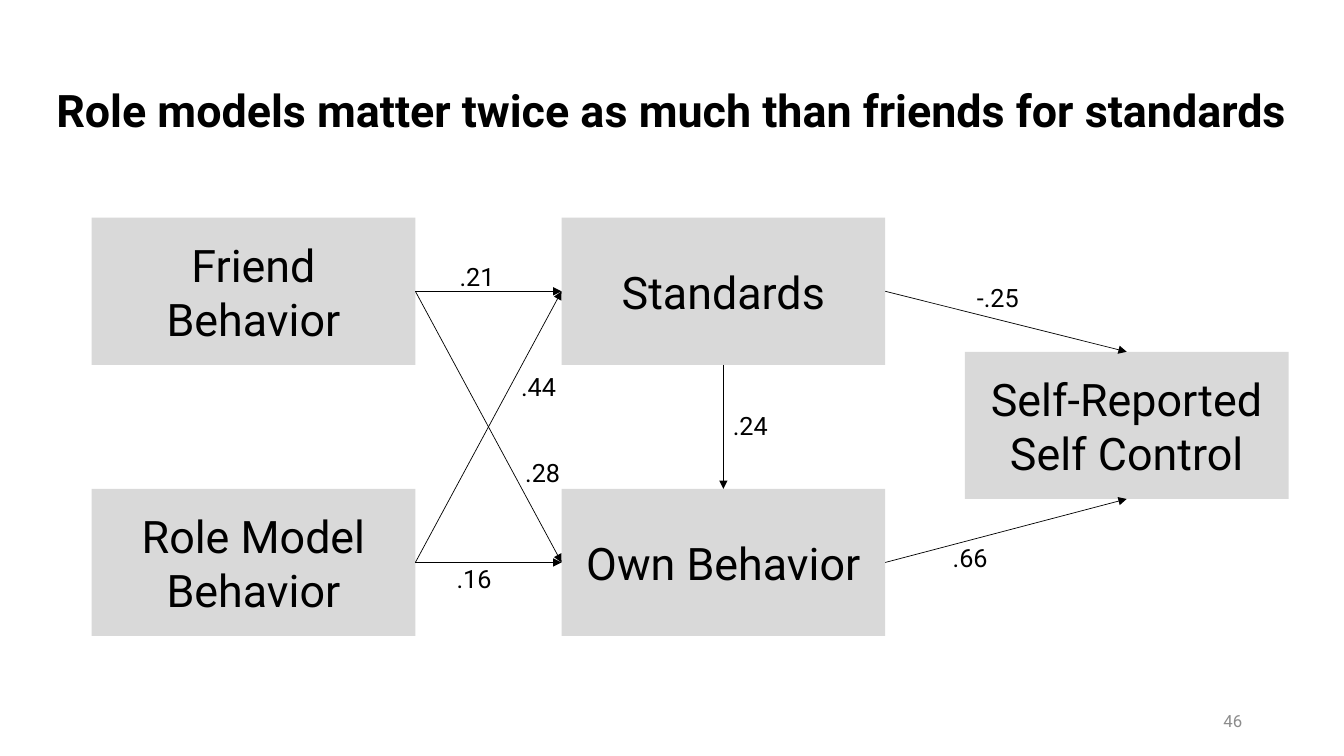
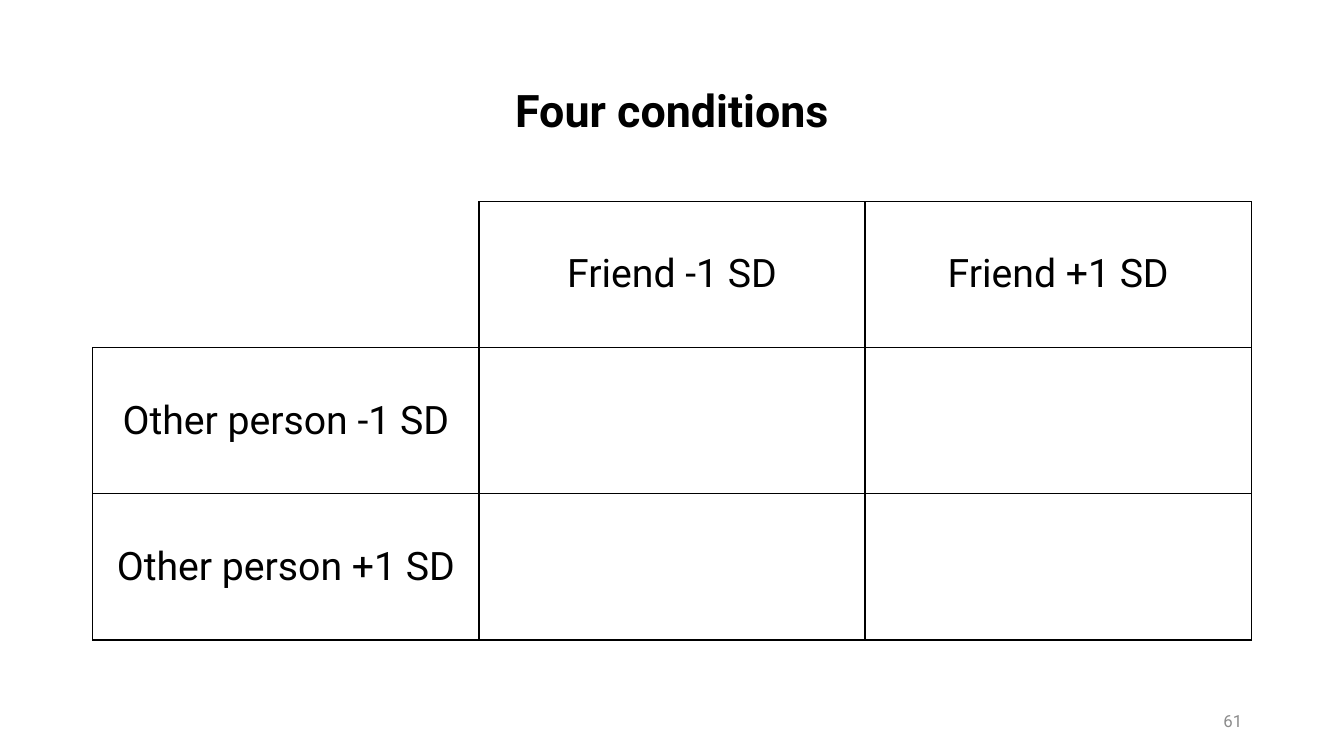
from lxml import etree
from pptx import Presentation
from pptx.dml.color import RGBColor
from pptx.enum.shapes import MSO_CONNECTOR, MSO_SHAPE
from pptx.enum.text import MSO_ANCHOR, MSO_AUTO_SIZE, PP_ALIGN
from pptx.oxml.ns import qn
from pptx.util import Inches, Pt

LEFT, MID, RIGHT = PP_ALIGN.LEFT, PP_ALIGN.CENTER, PP_ALIGN.RIGHT
MIDDLE, TOP = MSO_ANCHOR.MIDDLE, MSO_ANCHOR.TOP
GROW, FIXED = MSO_AUTO_SIZE.SHAPE_TO_FIT_TEXT, MSO_AUTO_SIZE.NONE
LINE, RECT = MSO_CONNECTOR.STRAIGHT, MSO_SHAPE.RECTANGLE
NORTH, WEST, SOUTH, EAST = range(4)  # connection sites of a rectangle

WIDE, HIGH = 13.33, 7.5
EDGE = 0.92
FONT = "Roboto"
HUES = {"ink": "000000", "box": "D9D9D9", "page": "8C8C8C"}

# Path model: name -> (left, top, lines)
COLS = (0.91, 5.57, 9.57)
ROWS = (2.16, 3.49, 4.85)
BOX = (3.21, 1.46)
NODES = {
    "friend": (COLS[0], ROWS[0], ["Friend Behavior"]),
    "model": (COLS[0], ROWS[2], ["Role Model Behavior"]),
    "norm": (COLS[1], ROWS[0], ["Standards"]),
    "own": (COLS[1], ROWS[2], ["Own Behavior"]),
    "self": (COLS[2], ROWS[1], ["Self-Reported", "Self Control"]),
}
# start, site, end, site, weight, label left and top
PATHS = [
    ("friend", EAST, "norm", WEST, ".21", 4.46, 2.54),
    ("friend", EAST, "own", WEST, ".28", 5.11, 4.49),
    ("model", EAST, "own", WEST, ".16", 4.43, 5.54),
    ("model", EAST, "norm", WEST, ".44", 5.07, 3.63),
    ("norm", SOUTH, "own", NORTH, ".24", 7.17, 4.02),
    ("norm", EAST, "self", NORTH, "-.25", 9.59, 2.75),
    ("own", EAST, "self", SOUTH, ".66", 9.35, 5.33),
]
GRID = [
    ["", "Friend -1 SD", "Friend +1 SD"],
    ["Other person -1 SD", "", ""],
    ["Other person +1 SD", "", ""],
]


def hue(name):
    return RGBColor.from_string(HUES[name])


def write(frame, lines, size, align=MID, tint="ink", bold=False, space=None):
    frame.text = "\n".join(lines)
    for para in frame.paragraphs:
        para.alignment, para.line_spacing = align, space
        look = {"name": FONT, "size": Pt(size), "bold": bold}
        for run in para.runs:
            for key, val in look.items():
                setattr(run.font, key, val)
            run.font.color.rgb = hue(tint)


def label(slide, text, spot, size, align=LEFT, anchor=TOP, tint="ink",
          wrap=False, fit=GROW):
    frame = slide.shapes.add_textbox(*map(Inches, spot)).text_frame
    write(frame, [text], size, align, tint)
    form = {"word_wrap": wrap, "auto_size": fit, "vertical_anchor": anchor}
    for key, val in form.items():
        setattr(frame, key, val)


def start(deck, title, page, inset):
    """Add a slide with its title and page number."""
    slide = deck.slides.add_slide(deck.slide_layouts[5])
    head = slide.shapes.title
    spot = {"left": inset, "top": 0.4, "width": WIDE - 2 * inset,
            "height": 1.45}
    for key, val in spot.items():
        setattr(head, key, Inches(val))
    write(head.text_frame, [title], 32, bold=True, space=0.9)
    head.text_frame.vertical_anchor = MIDDLE
    head.text_frame.auto_size = FIXED
    label(slide, page, (9.42, 6.95, 3, 0.4), 12, RIGHT, MIDDLE, "page",
          True, FIXED)
    return slide


def node(slide, left, top, lines):
    box = slide.shapes.add_shape(RECT, *map(Inches, (left, top, *BOX)))
    box.shadow.inherit = False
    box.fill.solid()
    box.fill.fore_color.rgb = hue("box")
    box.line.fill.background()
    write(box.text_frame, lines, 32)
    box.text_frame.word_wrap = True
    box.text_frame.vertical_anchor = MIDDLE
    return box


def arrow(slide, tail, out, tip, into):
    link = slide.shapes.add_connector(LINE, 0, 0, 0, 0)
    link.begin_connect(tail, out)
    link.end_connect(tip, into)
    link.line.width = Pt(0.5)
    link.line.color.rgb = hue("ink")
    etree.SubElement(link.line._get_or_add_ln(), qn("a:tailEnd"),
                     type="triangle")
    etree.SubElement(link._element.spPr, qn("a:effectLst"))


def border(cell, sides):
    """Rule the given sides of a cell (L, R, T, B) and clear the others."""
    props = cell._tc.get_or_add_tcPr()
    for place, side in enumerate("LRTB"):
        rule = etree.Element(qn("a:ln" + side), w=str(Pt(1)))
        if side in sides:
            fill = etree.SubElement(rule, qn("a:solidFill"))
            etree.SubElement(fill, qn("a:srgbClr"), val=HUES["ink"])
        else:
            etree.SubElement(rule, qn("a:noFill"))
        props.insert(place, rule)


def model(deck):
    slide = start(deck, "Role models matter twice as much than friends "
                  "for standards", "46", 0)
    boxes = {name: node(slide, *spec) for name, spec in NODES.items()}
    for tail, out, tip, into, text, left, top in PATHS:
        arrow(slide, boxes[tail], out, boxes[tip], into)
        width = 0.64 if text.startswith("-") else 0.55
        label(slide, text, (left, top, width, 0.4), 18)


def design(deck):
    slide = start(deck, "Four conditions", "61", EDGE)
    spot = map(Inches, (EDGE, 2, WIDE - 2 * EDGE, 4.35))
    table = slide.shapes.add_table(len(GRID), len(GRID[0]), *spot).table
    table.first_row = table.horz_banding = False
    for r, row in enumerate(GRID):
        for c, text in enumerate(row):
            cell = table.cell(r, c)
            cell.fill.background()
            cell.vertical_anchor = MIDDLE
            border(cell, "LRTB" if r or c else "RB")
            if text:
                write(cell.text_frame, [text], 28)


def main():
    deck = Presentation()
    deck.slide_width, deck.slide_height = Inches(WIDE), Inches(HIGH)
    model(deck)
    design(deck)
    deck.save("out.pptx")


if __name__ == "__main__":
    main()
